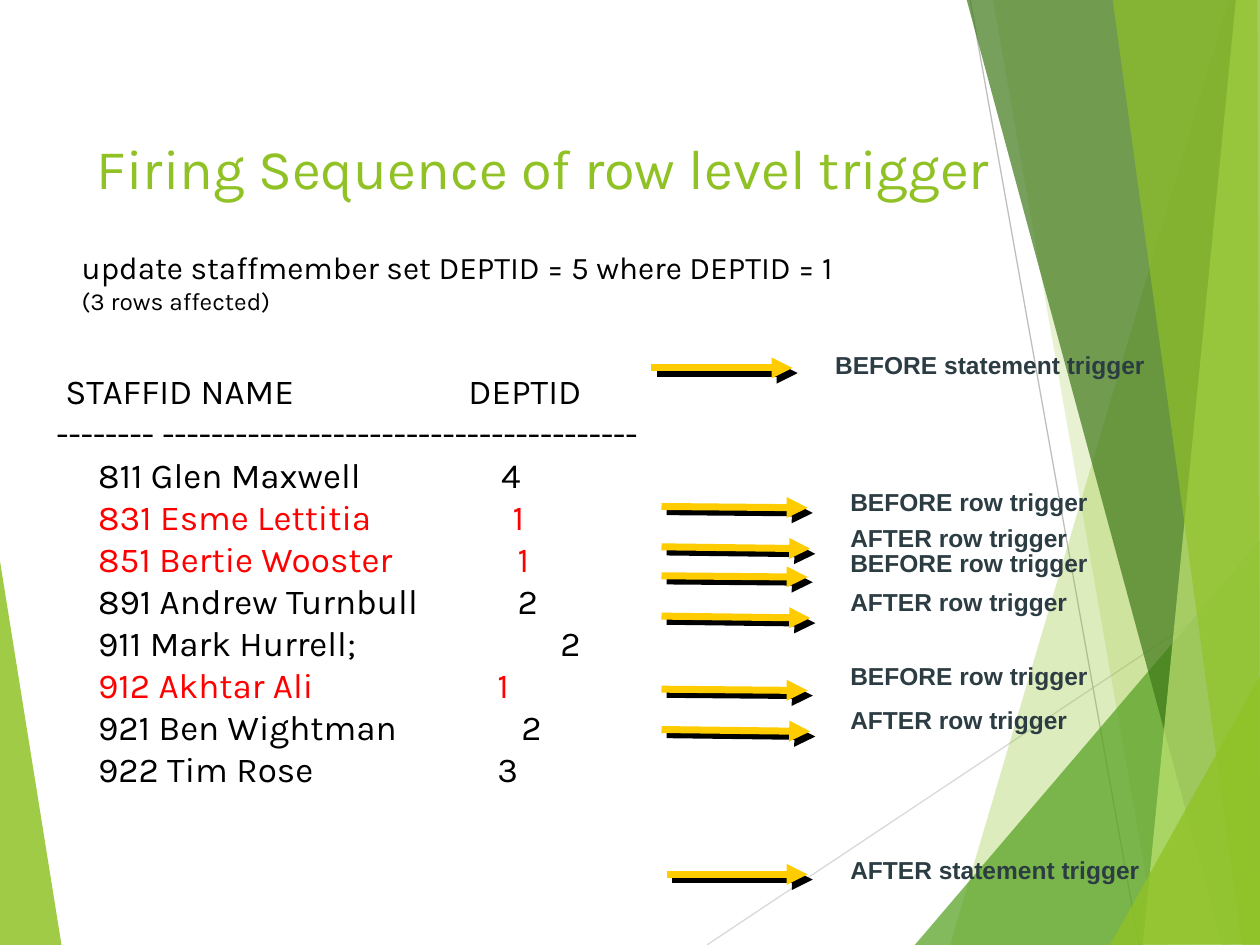
from collections import namedtuple

from lxml import etree
from pptx import Presentation, util as u
from pptx.dml.color import RGBColor
from pptx.enum import shapes, text
from pptx.oxml import ns

LIME = RGBColor(0x90, 0xC2, 0x26)
GREEN = RGBColor(0x54, 0xA0, 0x21)
FOREST = RGBColor(0x3F, 0x78, 0x19)
PALE_LIME = RGBColor(0xC0, 0xE4, 0x74)
LIGHT_GREY = RGBColor(0xD9, 0xD9, 0xD9)
GREY = RGBColor(0xBF, 0xBF, 0xBF)
AMBER = RGBColor(0xFF, 0xCC, 0x00)
SLATE = RGBColor(0x2C, 0x3C, 0x43)
BLACK = RGBColor(0, 0, 0)
RED = RGBColor(0xFF, 0, 0)

WIDTH, HEIGHT = u.Inches(10), u.Inches(7.5)
COL, ROW = WIDTH / 100, HEIGHT / 75
Box = namedtuple("Box", "left top width height")

FACETS = [
    (LIME, 85, [(-0.1, 43.9), (4.9, 75.1), (-0.1, 75)]),
    (LIME, 30, [(97.5, 0), (75.4, 75), (100.2, 75.1), (100.1, 0.1)]),
    (LIME, 20, [(78.8, -0.1), (91.9, 75), (100.1, 75), (100.1, -0.1)]),
    (GREEN, 72, [(72.6, 75), (100, 42.9), (100.1, 75)]),
    (FOREST, 70, [(76.7, -0.1), (97, 75), (100.1, 74.9), (100.1, -0.1)]),
    (PALE_LIME, 70, [(98.1, -0.1), (90.7, 75), (100.1, 75), (100, -0.1)]),
    (LIME, 65, [(88.3, -0.1), (98.6, 75), (100, 75), (99.8, -0.1)]),
    (LIME, 80, [(88.1, 75), (100.1, 53.5), (100.1, 74.9)]),
]
RAYS = [(LIGHT_GREY, (56.1, 75), (100.1, 45.7)), (GREY, (77, 0), (90.4, 75))]

STATEMENT_EVENTS = [
    ("BEFORE statement trigger", 13.6, 0, 0, 1.9),
    ("AFTER statement trigger", 14.8, 40.1, 1.2, 42.1),
]
ROW_EVENTS = [(10.9, 12.9, 13.7, 16.1), (15.7, 18.4, 18.8, 21.6), (24.7, 27.4, 28.2, 30.6)]

STAFF = [
    ("811 Glen Maxwell", "4", BLACK, 35.3),
    ("831 Esme Lettitia", "1", RED, 36.2),
    ("851 Bertie Wooster", "1", RED, 36.6),
    ("891 Andrew Turnbull", "2", BLACK, 36.6),
    ("911 Mark Hurrell;", "2", BLACK, 40),
    ("912 Akhtar Ali", "1", RED, 35),
    ("921 Ben Wightman", "2", BLACK, 36.9),
    ("922 Tim Rose", "3", BLACK, 35),
]


def place(box, x, y):
    return round((box.left + x) * COL), round((box.top + y) * ROW)


def add_text_area(slide, box, wrap=True):
    area = slide.shapes.add_textbox(
        *place(box, 0, 0), round(box.width * COL), round(box.height * ROW))
    frame = area.text_frame
    frame.word_wrap = wrap
    frame.vertical_anchor = text.MSO_ANCHOR.TOP
    return frame


def add_run(paragraph, words, size, color, face="Karla", bold=False):
    run = paragraph.add_run()
    run.text = words
    run.font.size = u.Pt(size)
    run.font.name = face
    run.font.bold = bold
    run.font.color.rgb = color


def add_line(slide, start, end, color, weight):
    line = slide.shapes.add_connector(shapes.MSO_CONNECTOR.STRAIGHT, *start, *end)
    line.line.color.rgb = color
    line.line.width = u.Pt(weight)
    effects = etree.SubElement(line._element.spPr, ns.qn("a:effectLst"))
    return line, effects


def add_arrow(slide, start, end):
    arrow, effects = add_line(slide, start, end, AMBER, 4)
    etree.SubElement(arrow.line._get_or_add_ln(), ns.qn("a:tailEnd"), type="triangle")
    shadow = etree.SubElement(
        effects, ns.qn("a:outerShdw"), dist=str(u.Pt(4.2)), dir="2700000",
        algn="ctr", rotWithShape="0")
    etree.SubElement(shadow, ns.qn("a:srgbClr"), val=str(BLACK))


def add_facet(slide, box, color, opacity, corners):
    points = [place(box, *corner) for corner in corners]
    builder = slide.shapes.build_freeform(*points[0])
    builder.add_line_segments(points[1:], close=True)
    facet = builder.convert_to_shape()
    facet.shadow.inherit = False
    facet.fill.solid()
    facet.fill.fore_color.rgb = color
    facet.line.fill.background()
    tint = facet._element.spPr.find(".//" + ns.qn("a:srgbClr"))
    etree.SubElement(tint, ns.qn("a:alpha"), val=str(opacity * 1000))


def add_backdrop(slide, box):
    add_facet(slide, box, *FACETS[0])
    for color, start, end in RAYS:
        add_line(slide, place(box, *start), place(box, *end), color, 0.75)
    for facet in FACETS[1:]:
        add_facet(slide, box, *facet)


def add_event(slide, box, words, label_x, label_y, start, end):
    label = Box(box.left + label_x, box.top + label_y, box.width - label_x, 3.3)
    frame = add_text_area(slide, label, wrap=False)
    add_run(frame.paragraphs[0], words, 14, SLATE, "Arial", True)
    add_arrow(slide, place(box, *start), place(box, *end))


def add_firing_sequence(slide, box):
    for words, label_x, label_y, arrow_x, arrow_y in STATEMENT_EVENTS:
        add_event(slide, box, words, label_x, label_y, (arrow_x, arrow_y), (11.2 + arrow_x / 1.2 * 0, arrow_y)
                  if arrow_x == 0 else (12.4, arrow_y))
    for before_y, before_arrow, after_y, after_arrow in ROW_EVENTS:
        add_event(slide, box, "BEFORE row trigger", 14.8, before_y,
                  (0.8, before_arrow), (12.4, before_arrow + 0.1))
        add_event(slide, box, "AFTER row trigger", 14.8, after_y,
                  (0.8, after_arrow), (12.6, after_arrow + 0.15))


def add_title(slide, box):
    frame = add_text_area(slide, box)
    add_run(frame.paragraphs[0], "Firing Sequence of row level trigger", 32, LIME)


def add_statement(slide, box):
    paragraph = add_text_area(slide, box).paragraphs[0]
    add_run(paragraph, "update staffmember set DEPTID = 5 where DEPTID = 1", 18, BLACK)
    paragraph.add_line_break()
    add_run(paragraph, "(3 rows affected)", 14, BLACK)


def add_staff_line(paragraph, words, color, stops):
    tabs = etree.SubElement(paragraph._p.get_or_add_pPr(), ns.qn("a:tabLst"))
    for stop in stops:
        etree.SubElement(tabs, ns.qn("a:tab"), pos=str(round(stop * COL)), algn="l")
    add_run(paragraph, words, 20, color)


def add_staff_list(slide, box):
    frame = add_text_area(slide, box)
    add_staff_line(frame.paragraphs[0], "\tSTAFFID NAME\tDEPTID", BLACK, (0.7, 32.7))
    add_run(frame.add_paragraph(), "-" * 8 + " " + "-" * 39, 20, BLACK)
    for member, department, color, stop in STAFF:
        add_staff_line(frame.add_paragraph(), f"\t{member}\t{department}", color, (3.3, stop))


def main():
    deck = Presentation()
    deck.slide_width, deck.slide_height = WIDTH, HEIGHT
    slide = deck.slides.add_slide(deck.slide_layouts[6])
    add_backdrop(slide, Box(0, 0, 100, 75))
    add_firing_sequence(slide, Box(51.7, 27.3, 40.3, 43.4))
    add_title(slide, Box(6.7, 10.1, 78, 7.8))
    add_staff_list(slide, Box(3.5, 28.8, 50, 38))
    add_statement(slide, Box(5.5, 19.2, 92.1, 7.4))
    deck.save("out.pptx")


if __name__ == "__main__":
    main()
